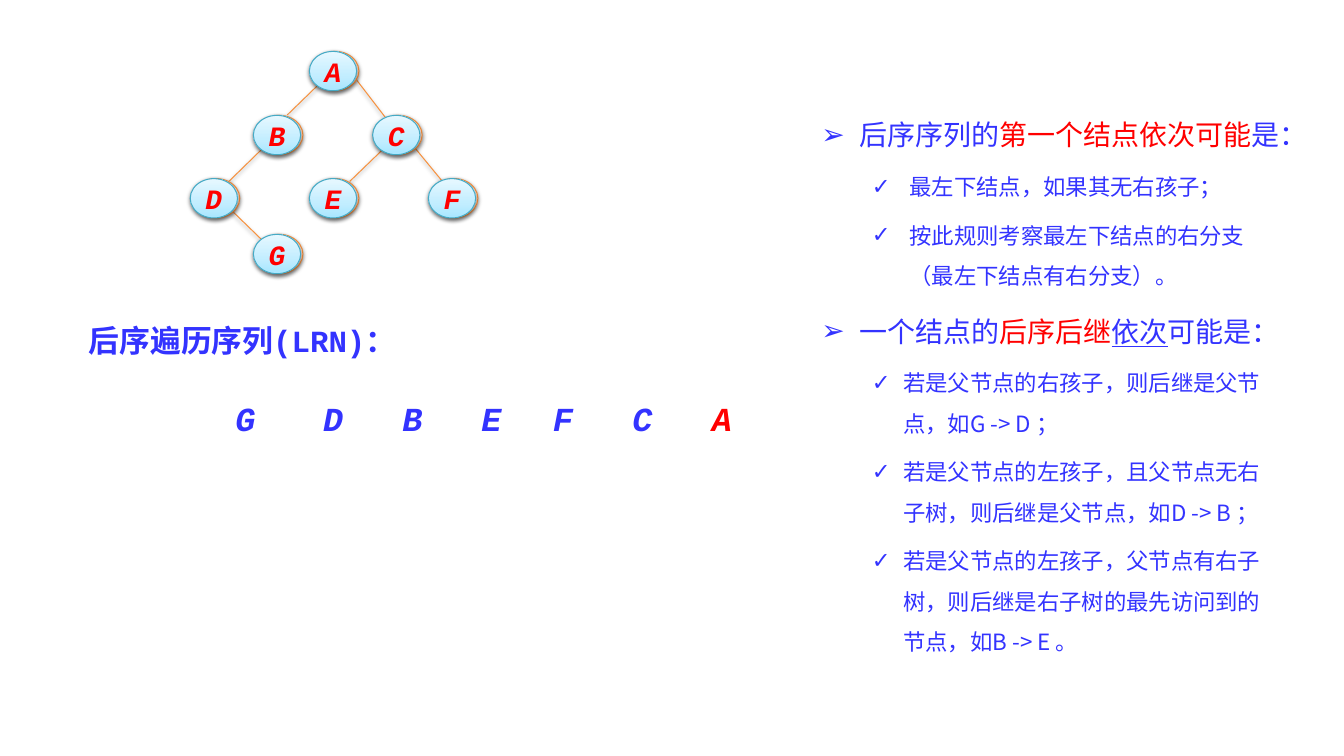
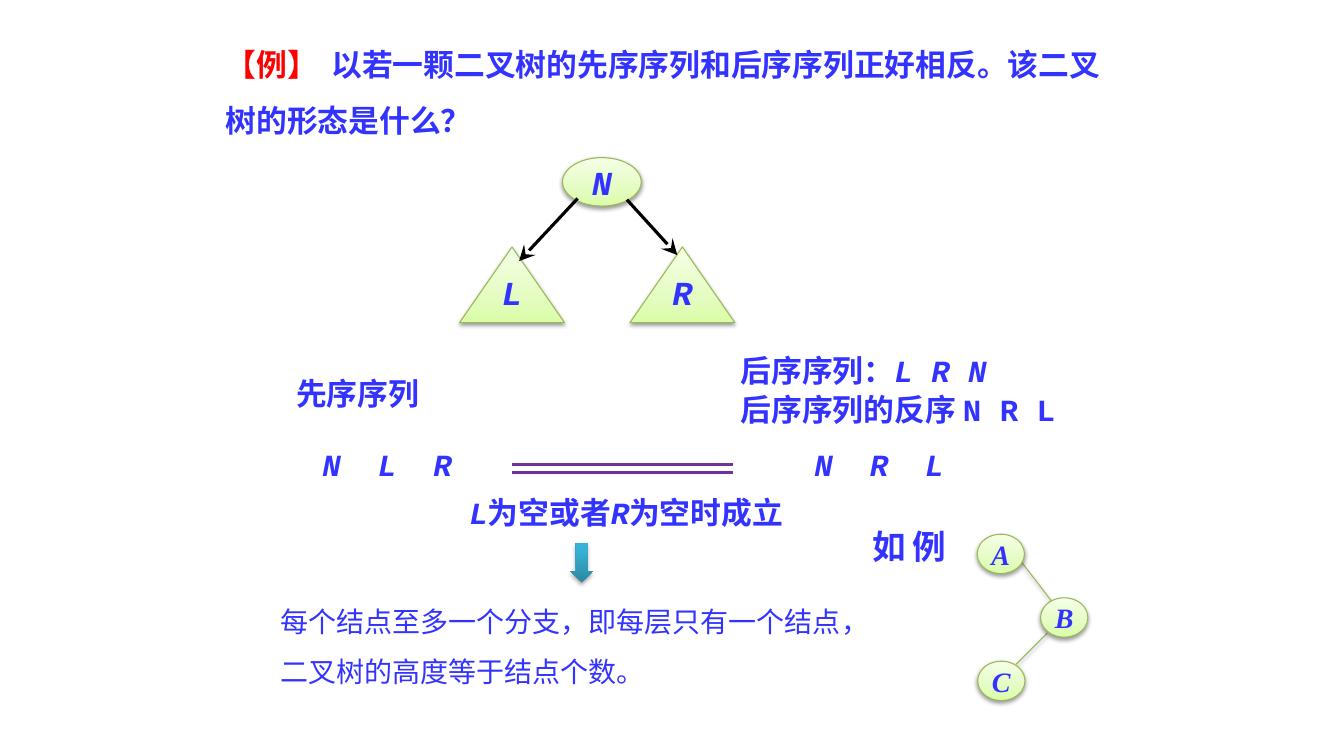
from lxml.etree import SubElement
from pptx import Presentation
from pptx.dml.color import RGBColor
from pptx.enum.shapes import MSO_CONNECTOR, MSO_SHAPE
from pptx.enum.text import MSO_ANCHOR, MSO_AUTO_SIZE, PP_ALIGN
from pptx.oxml.ns import qn
from pptx.util import Pt

COLORS = {"blue": "3333FF", "red": "FF0000", "orange": "F69240", "cyan": "46AAC5",
          "green": "98B955", "purple": "7030A0", "black": "000000"}
GRADIENTS = {
    "orange": [(0, "FFD2BD"), (35, "FFDED0"), (100, "FFF2ED")],
    "cyan": [(0, "A7E6FF"), (35, "C1EDFF"), (100, "E7F8FF")],
    "green": [(0, "DAFDA7"), (35, "E4FCC2"), (100, "F5FFE7")],
    "teal": [(0, "2A88A2"), (80, "37B1D2"), (100, "34B4D6")],
}
CJK = "Noto Sans CJK SC"
HEADING = {"name": "Courier New", "size": 22, "bold": True, "italic": False,
           "underline": False, "color": "blue"}
ITALIC = {"italic": True}
LETTER = {"size": 24, "italic": True}
LABEL = {"size": 20, "italic": True}
PLAIN = {"name": CJK, "size": 20, "bold": False}
POINT = {"name": CJK, "size": 16, "bold": False}
RED = {"color": "red"}
NODE_SIZE = (33.8, 28.1)

TREE_NODES = {"A": (221, 36.7), "B": (181, 82.4), "C": (266.2, 82.4), "D": (135.9, 127.6),
              "E": (221, 127.6), "F": (306, 127.6), "G": (181, 167.4)}
RIM_OFFSET = 1.6
TREE_EDGES = [
    ((165.6, 150.5), (188.6, 172.8)), ((228.2, 59.8), (205.2, 82.1)),
    ((253.4, 55.4), (277.2, 86.4)), ((188.6, 105.1), (159.8, 133.2)),
    ((272.9, 107.3), (249.8, 129.6)), ((295.9, 105.1), (319, 133.2)),
]
SEQUENCE = [("G", 146.9), ("D", 209.5), ("B", 266.2), ("E", 322.6),
            ("F", 373.7), ("C", 430.4), ("A", 487.2)]
SEQUENCE_TITLE = "后序遍历序列(LRN)："
RULES = [
    ("后序序列的", "第一个结点依次可能", [("是：", {})], 63, [
        "最左下结点，如果其无右孩子；",
        "按此规则考察最左下结点的右分支（最左下结点有右分支）。"]),
    ("一个结点的", "后序后继", [("依次", {"underline": True}), ("可能是：", {})], 58.5, [
        "若是父节点的右孩子，则后继是父节点，如G -> D ；",
        "若是父节点的左孩子，且父节点无右子树，则后继是父节点，如D -> B ；",
        "若是父节点的左孩子，父节点有右子树，则后继是右子树的最先访问到的节点，如B -> E 。"]),
]

QUESTION = [("【例】\t", RED),
            ("以若一颗二叉树的先序序列和后序序列正好相反。该二叉树的形态是什么？", {})]
SUBTREES = [("L", 328.3), ("R", 450)]
ARROWS = [((412.6, 141.8), (370.8, 186.5)), ((447.8, 142.6), (483.8, 182.2))]
CHAIN_NODES = {"A": (698, 381.6), "B": (743.3, 427), "C": (698.4, 472.3)}
CHAIN_EDGES = [((728.8, 400.3), (752.6, 431.3)), ((748.1, 452.2), (725.8, 474.5))]
ORDER_TABS = [39.6, 79.2]
NOTES = [
    ((204.5, 264.2, 139.7, 33.8), {"spans": [("先序序列", {})]}),
    ((522, 247.7, 260.6, 33.8), {"spans": [("后序序列：", {}), ("L R N", ITALIC)]}),
    ((522, 275.8, 255.6, 33.8), {"spans": [("后序序列的反序 N R L", {})]}),
    ((223.2, 315, 121, 33.8), {"spans": [("N\tL\tR", ITALIC)], "tabs": ORDER_TABS}),
    ((574.6, 315, 114.5, 33.8), {"spans": [("N\tR\tL", ITALIC)], "tabs": ORDER_TABS}),
    ((328.2, 348.8, 264.2, 33.8), {"spans": [
        ("L", ITALIC), ("为空或者", {}), ("R", ITALIC), ("为空时成立", {})]}),
    ((193, 416.2, 433.4, 75.6), {"line": 1.5, "spans": [
        ("每个结点至多一个分支，即每层只有一个结点，二叉树的高度等于结点个数。", PLAIN)]}),
]


def add_span(para, text, changes):
    span = para.add_run()
    span.text = text
    values = {**HEADING, **changes}
    span.font.color.rgb = RGBColor.from_string(COLORS[values.pop("color")])
    values["size"] = Pt(values["size"])
    for key, value in values.items():
        setattr(span.font, key, value)
    SubElement(span.font._element, qn("a:ea")).set("typeface", CJK)


def write(frame, paras):
    for index, data in enumerate(paras):
        para = frame.paragraphs[0] if index == 0 else frame.add_paragraph()
        props = para._p.get_or_add_pPr()
        if "bullet" in data:
            para.level = data["level"]
            props.set("marL", str(Pt(data["left"])))
            props.set("indent", str(-Pt(data["hang"])))
            color = SubElement(props, qn("a:buClr"))
            SubElement(color, qn("a:srgbClr")).set("val", COLORS["blue"])
            SubElement(props, qn("a:buChar")).set("char", data["bullet"])
        if "tabs" in data:
            stops = SubElement(props, qn("a:tabLst"))
            for position in data["tabs"]:
                stop = SubElement(stops, qn("a:tab"))
                stop.set("pos", str(Pt(position)))
                stop.set("algn", "l")
        para.alignment = data.get("align", PP_ALIGN.LEFT)
        para.line_spacing = data.get("line", 1.0)
        para.space_before = Pt(data.get("before", 0) if index else 0)
        for text, changes in data["spans"]:
            add_span(para, text, changes)


def fill_frame(box, paras):
    frame = box.text_frame
    frame.word_wrap = True
    frame.auto_size = MSO_AUTO_SIZE.SHAPE_TO_FIT_TEXT
    frame.vertical_anchor = MSO_ANCHOR.TOP
    write(frame, paras)


def fill_placeholder(box, place, paras):
    for key, value in zip(("left", "top", "width", "height"), place):
        setattr(box, key, Pt(value))
    fill_frame(box, paras)


def add_text(page, place, para):
    box = page.shapes.add_textbox(*map(Pt, place))
    fill_frame(box, [para])
    return box


def add_shadow(effects, opacity, distance):
    shadow = SubElement(effects, qn("a:outerShdw"))
    for key, value in {"blurRad": Pt(3.1), "dist": Pt(distance), "dir": 5400000,
                       "rotWithShape": 0}.items():
        shadow.set(key, str(value))
    color = SubElement(shadow, qn("a:srgbClr"))
    color.set("val", COLORS["black"])
    SubElement(color, qn("a:alpha")).set("val", str(opacity * 1000))


def add_solid(page, kind, place, gradient, outline=None, opacity=38, distance=1.6):
    shape = page.shapes.add_shape(kind, *map(Pt, place))
    shape.fill.gradient()
    shape.fill.gradient_angle = 90
    props = shape._element.spPr
    stops = props.find(qn("a:gradFill")).find(qn("a:gsLst"))
    for stop in list(stops):
        stops.remove(stop)
    for position, color in GRADIENTS[gradient]:
        stop = SubElement(stops, qn("a:gs"))
        stop.set("pos", str(position * 1000))
        SubElement(stop, qn("a:srgbClr")).set("val", color)
    if outline:
        shape.line.color.rgb = RGBColor.from_string(COLORS[outline])
        shape.line.width = Pt(0.75)
    else:
        shape.line.fill.background()
    shape.shadow.inherit = False
    add_shadow(props.find(qn("a:effectLst")), opacity, distance)
    return shape


def add_labelled(page, kind, place, color, label, changes, line=1.0):
    shape = add_solid(page, kind, place, color, color)
    frame = shape.text_frame
    frame.word_wrap = False
    frame.vertical_anchor = MSO_ANCHOR.MIDDLE
    write(frame, [{"spans": [(label, changes)], "align": PP_ALIGN.CENTER, "line": line}])


def add_line(page, start, end, color, width=0.75, shadow=False, arrow=False):
    line = page.shapes.add_connector(MSO_CONNECTOR.STRAIGHT, *map(Pt, start + end))
    line.line.color.rgb = RGBColor.from_string(COLORS[color])
    line.line.width = Pt(width)
    props = line._element.spPr
    if arrow:
        head = SubElement(props.find(qn("a:ln")), qn("a:tailEnd"))
        for key, value in {"type": "stealth", "w": "lg", "len": "lg"}.items():
            head.set(key, value)
    effects = SubElement(props, qn("a:effectLst"))
    if shadow:
        add_shadow(effects, 38, 1.6)


def build_traversal(page):
    for start, end in TREE_EDGES:
        add_line(page, start, end, "orange", shadow=True)
    for left, top in TREE_NODES.values():
        add_solid(page, MSO_SHAPE.OVAL, (left + RIM_OFFSET, top) + NODE_SIZE, "orange", "orange")
    for label, corner in TREE_NODES.items():
        add_labelled(page, MSO_SHAPE.OVAL, corner + NODE_SIZE, "cyan", label, {**LABEL, **RED})
    for label, left in SEQUENCE:
        color = RED if label == "A" else {}
        add_text(page, (left, 280.8, 56.9, 36),
                 {"spans": [(label, {**LETTER, **color})], "align": PP_ALIGN.CENTER})
    fill_placeholder(page.shapes.title, (56.2, 226.1, 254.9, 33.8),
                     [{"spans": [(SEQUENCE_TITLE, {})]}])
    paras = []
    common = {"line": 1.5, "before": 6}
    for opening, key_words, ending, left, points in RULES:
        spans = [(opening, PLAIN), (key_words, {**PLAIN, **RED})]
        spans += [(text, {**PLAIN, **changes}) for text, changes in ending]
        paras.append({**common, "spans": spans, "bullet": "➢", "level": 0,
                      "left": 27, "hang": 27})
        paras += [{**common, "spans": [(text, POINT)], "bullet": "✓", "level": 1,
                   "left": left, "hang": left - 36} for text in points]
    fill_placeholder(page.placeholders[1], (579.5, 68.4, 343.5, 403.9), paras)


def build_example(page):
    fill_placeholder(page.shapes.title, (154, 16.2, 652.3, 82),
                     [{"line": 1.5, "tabs": [75.6], "spans": [
                         (text, {"name": "Times New Roman", **changes})
                         for text, changes in QUESTION]}])
    add_labelled(page, MSO_SHAPE.OVAL, (401.8, 112.6, 56.2, 34.6), "green", "N", LETTER)
    for label, left in SUBTREES:
        add_labelled(page, MSO_SHAPE.ISOSCELES_TRIANGLE, (left, 176.4, 74.9, 54),
                     "green", label, LETTER, Pt(12))
    for start, end in ARROWS:
        add_line(page, start, end, "black", 2.25, arrow=True)
    for place, para in NOTES:
        add_text(page, place, para)
    for top in (331.9, 337.7):
        add_line(page, (365.8, top), (523.4, top), "purple", 2.25)
    add_solid(page, MSO_SHAPE.DOWN_ARROW, (407.2, 388.1, 16.6, 28.1), "teal",
              opacity=35, distance=1.8)
    for start, end in CHAIN_EDGES:
        add_line(page, start, end, "green", shadow=True)
    for label, corner in CHAIN_NODES.items():
        add_labelled(page, MSO_SHAPE.OVAL, corner + NODE_SIZE, "green", label,
                     {**LABEL, "name": "Times New Roman"})
    box = add_text(page, (637.2, 371.5, 43.9, 61.9),
                   {"spans": [("例如", {"name": CJK, "size": 24})], "align": PP_ALIGN.CENTER})
    box.text_frame._txBody.bodyPr.set("vert", "eaVert")


def main():
    deck = Presentation()
    deck.slide_width, deck.slide_height = Pt(960), Pt(540)
    for layout, build in ((1, build_traversal), (5, build_example)):
        build(deck.slides.add_slide(deck.slide_layouts[layout]))
    deck.save("out.pptx")


if __name__ == "__main__":
    main()
